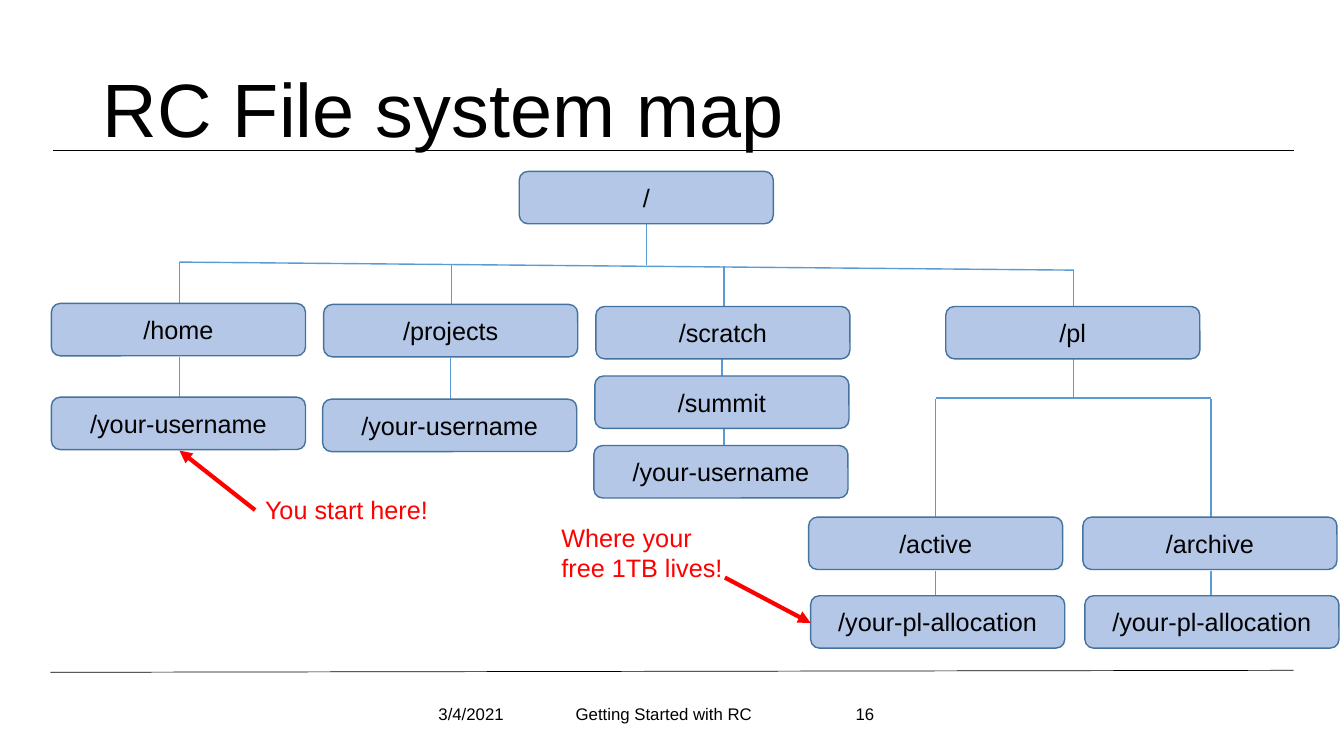
"""Build the RC file system map slide."""
from typing import NamedTuple

from lxml.etree import SubElement
from pptx import Presentation
from pptx.dml.color import RGBColor
from pptx.enum.shapes import MSO_CONNECTOR as Connector, MSO_SHAPE as Shape
from pptx.enum.text import MSO_ANCHOR as Anchor, PP_ALIGN as Align
from pptx.oxml.ns import qn
from pptx.util import Inches, Pt

BLACK, RED = "000000", "FF0000"
FOLDER_FILL, FOLDER_EDGE, BRANCH = "B4C7E7", "43739E", "5B9BD5"
FOLDER_WIDTH, FOLDER_HEIGHT = 2.52, 0.52


class Folder(NamedTuple):
    label: str
    left: float
    top: float


class Line(NamedTuple):
    x1: float
    y1: float
    x2: float
    y2: float
    color: str = BRANCH
    width: float = 1
    arrow: bool = False


class Label(NamedTuple):
    text: str
    left: float
    top: float
    width: float
    height: float
    size: float
    color: str = BLACK
    align: Align = Align.LEFT
    anchor: Anchor = Anchor.TOP


FOLDERS = [
    Folder("/", 5.15, 1.7),
    Folder("/home", 0.51, 3.01),
    Folder("/projects", 3.21, 3.02),
    Folder("/scratch", 5.91, 3.04),
    Folder("/pl", 9.38, 3.04),
    Folder("/your-username", 0.51, 3.94),
    Folder("/your-username", 3.2, 3.96),
    Folder("/summit", 5.9, 3.73),
    Folder("/your-username", 5.89, 4.42),
    Folder("/active", 8.02, 5.13),
    Folder("/archive", 10.74, 5.13),
    Folder("/your-pl-allocation", 8.04, 5.91),
    Folder("/your-pl-allocation", 10.76, 5.91),
]

RULES = [
    Line(0.5, 6.67, 12.83, 6.65, BLACK, 0.5),
    Line(0.53, 1.49, 12.83, 1.49, BLACK, 0.5),
]

BRANCHES = [
    Line(6.41, 2.22, 6.41, 2.63),
    Line(10.65, 2.68, 1.78, 2.6),
    Line(1.78, 2.6, 1.78, 3.01),
    Line(4.48, 2.62, 4.48, 3.03),
    Line(7.18, 2.64, 7.18, 3.04),
    Line(10.65, 2.68, 10.65, 3.04),
    Line(1.78, 3.54, 1.78, 3.95),
    Line(4.47, 3.55, 4.47, 3.96),
    Line(7.16, 3.55, 7.16, 3.75),
    Line(7.18, 4.25, 7.18, 4.43),
    Line(10.65, 3.56, 10.65, 3.95),
    Line(12.01, 3.95, 9.28, 3.95),
    *(Line(x, top, x, bottom) for x in (9.28, 12.01)
      for top, bottom in ((3.96, 5.35), (5.66, 5.92))),
]

ARROWS = [
    Line(2.53, 5.06, 1.78, 4.47, RED, 3, True),
    Line(7.19, 5.73, 8.04, 6.18, RED, 3, True),
]

LABELS = [
    Label("You start here!", 2.53, 4.86, 1.88, 0.4, 18, RED),
    Label("Where your free 1TB lives!", 5.47, 5.13, 1.88, 0.71, 18, RED),
    Label("3/4/2021", 4.25, 6.88, 0.89, 0.4, 12, anchor=Anchor.MIDDLE),
    Label("Getting Started with RC", 5.15, 6.88, 2.87, 0.4, 12,
          align=Align.CENTER, anchor=Anchor.MIDDLE),
    Label("16", 8.02, 6.88, 0.75, 0.4, 12,
          align=Align.RIGHT, anchor=Anchor.MIDDLE),
]


def paint(color_format, color: str) -> None:
    """Apply a hex colour to a fill or font colour."""
    color_format.rgb = RGBColor.from_string(color)


def write(shape, text: str, size: float, color: str = BLACK,
          align: Align = Align.LEFT, anchor: Anchor = Anchor.MIDDLE) -> None:
    """Set and format the text of a shape."""
    frame = shape.text_frame
    frame.text = text
    frame.word_wrap = True
    frame.vertical_anchor = anchor
    paragraph = frame.paragraphs[0]
    paragraph.alignment = align
    font = paragraph.runs[0].font
    font.name, font.size = "Arial", Pt(size)
    paint(font.color, color)


def add_title(slide, text: str) -> None:
    """Place the title placeholder."""
    title = slide.shapes.title
    title.left, title.top = Inches(0.92), Inches(0.4)
    title.width, title.height = Inches(11.5), Inches(1.45)
    write(title, text, 54)
    title.text_frame.paragraphs[0].line_spacing = 0.9


def add_line(slide, line: Line) -> None:
    """Draw a straight line, with an arrowhead at its end if asked."""
    connector = slide.shapes.add_connector(
        Connector.STRAIGHT, Inches(line.x1), Inches(line.y1),
        Inches(line.x2), Inches(line.y2))
    connector.line.width = Pt(line.width)
    connector.line.fill.solid()
    paint(connector.line.fill.fore_color, line.color)
    if line.arrow:
        SubElement(connector.line._get_or_add_ln(), qn("a:tailEnd"), type="triangle")
    SubElement(connector._element.spPr, qn("a:effectLst"))


def add_folder(slide, folder: Folder) -> None:
    """Draw one folder box with its path."""
    shape = slide.shapes.add_shape(
        Shape.ROUNDED_RECTANGLE, Inches(folder.left), Inches(folder.top),
        Inches(FOLDER_WIDTH), Inches(FOLDER_HEIGHT))
    shape.shadow.inherit = False
    shape.fill.solid()
    paint(shape.fill.fore_color, FOLDER_FILL)
    paint(shape.line.color, FOLDER_EDGE)
    shape.line.width = Pt(1)
    write(shape, folder.label, 18, align=Align.CENTER)


def add_label(slide, label: Label) -> None:
    """Add a free-standing text box."""
    box = slide.shapes.add_textbox(
        Inches(label.left), Inches(label.top),
        Inches(label.width), Inches(label.height))
    write(box, label.text, label.size, label.color, label.align, label.anchor)


def main() -> None:
    """Assemble and save the slide."""
    presentation = Presentation()
    presentation.slide_width = Inches(13.33)
    presentation.slide_height = Inches(7.5)
    slide = presentation.slides.add_slide(presentation.slide_layouts[5])
    add_title(slide, "RC File system map")
    for line in RULES + BRANCHES:
        add_line(slide, line)
    for folder in FOLDERS:
        add_folder(slide, folder)
    for arrow in ARROWS:
        add_line(slide, arrow)
    for label in LABELS:
        add_label(slide, label)
    presentation.save("out.pptx")


if __name__ == "__main__":
    main()
